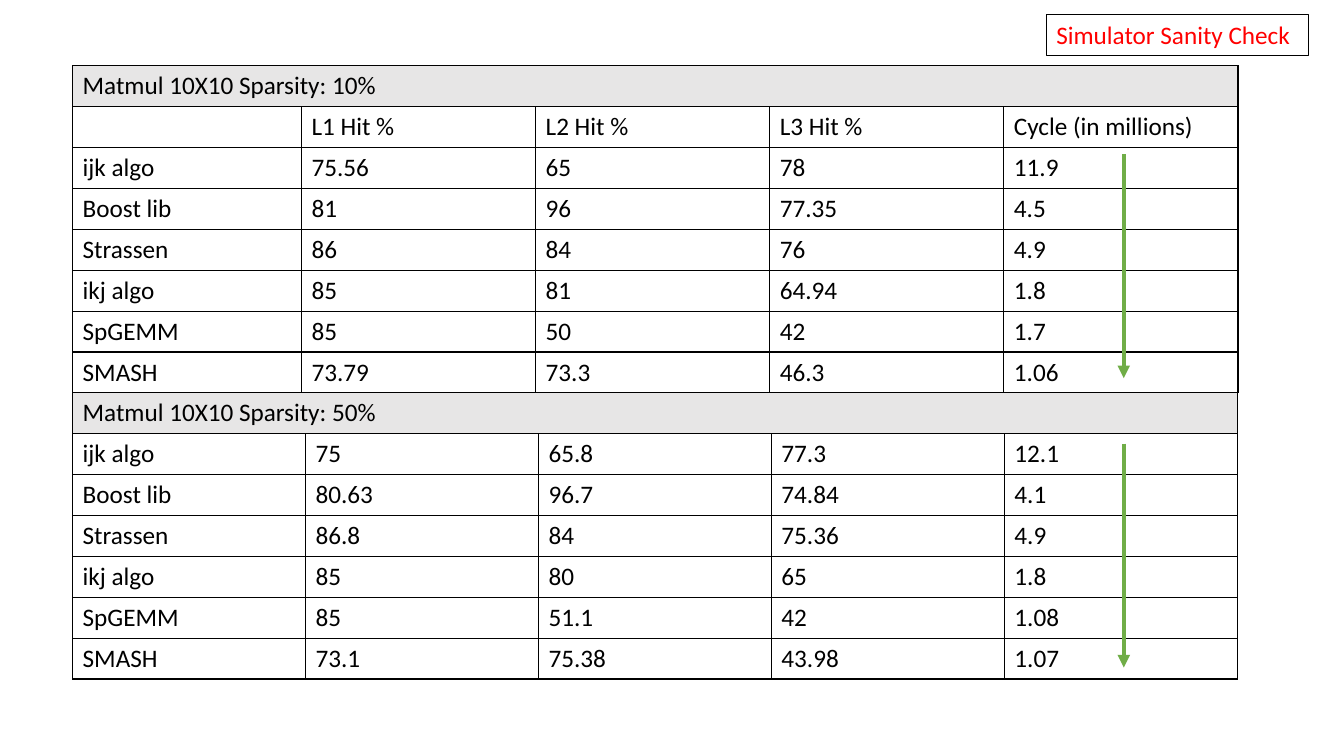
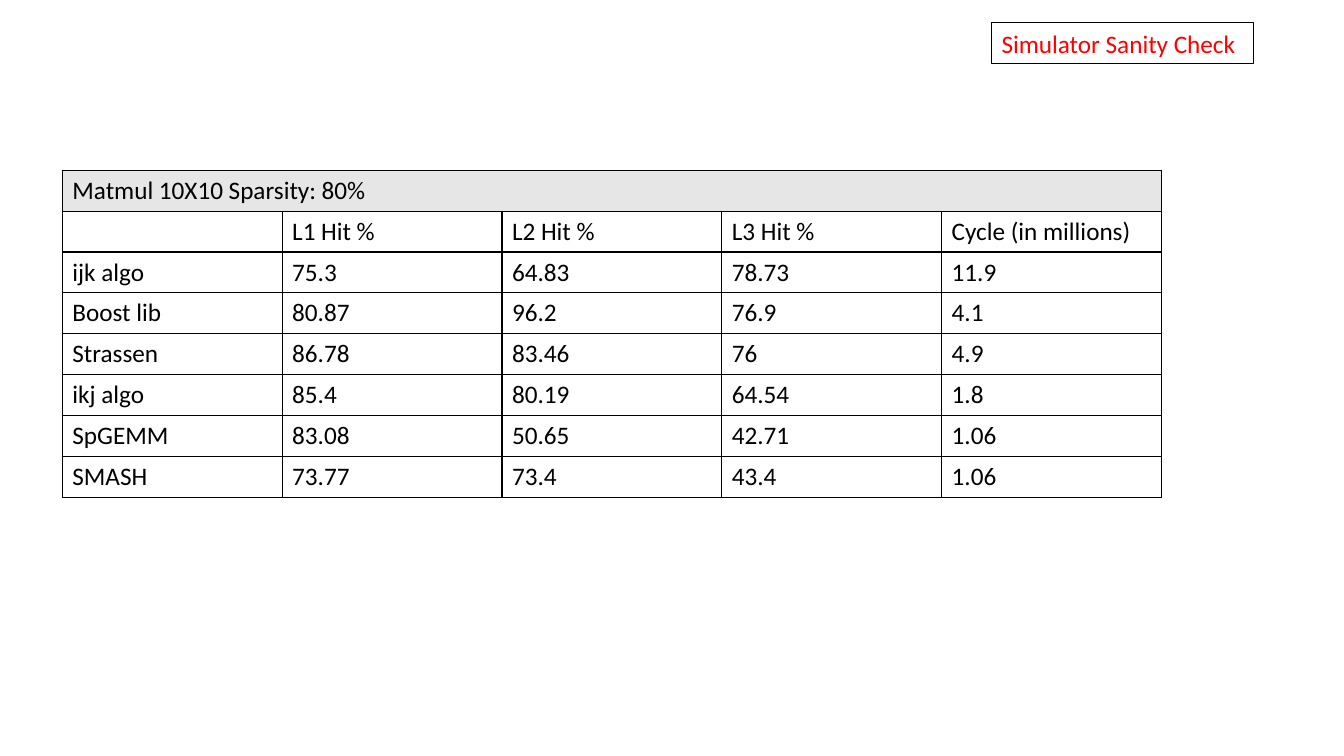
from lxml import etree
from pptx import Presentation, util as u
from pptx.dml.color import RGBColor
from pptx.enum import shapes, text
from pptx.oxml.ns import qn

BLACK, RED, GREEN, GREY = "000000", "FF0000", "70AD47", "E7E6E6"
FONT = {"name": "Calibri", "size": u.Pt(18), "bold": False}
FLAGS = {"first_row": False, "horz_banding": False}
FRAME = {"word_wrap": False, "auto_size": text.MSO_AUTO_SIZE.SHAPE_TO_FIT_TEXT}
ROW = 1.03
HEAD = ["", "L1 Hit %", "L2 Hit %", "L3 Hit %", "Cycle (in millions)"]
ALGOS = ["ijk algo", "Boost lib", "Strassen", "ikj algo", "SpGEMM", "SMASH"]


def tint(code):
    return RGBColor.from_string(code)


def apply(item, style):
    for key, value in style.items():
        setattr(item, key, value)


def child(node, tag, **attrs):
    return etree.SubElement(node, qn(tag), **attrs)


class Deck:
    def __init__(self):
        self.show = Presentation()
        apply(self.show, {"slide_width": u.Cm(33.87), "slide_height": u.Cm(19.05)})
        self.slide = None

    def page(self):
        self.slide = self.show.slides.add_slide(self.show.slide_layouts[6])

    def put(self, frame, words, color):
        run = frame.paragraphs[0].add_run()
        run.text = words
        apply(run.font, FONT)
        run.font.color.rgb = tint(color)

    def label(self, words, left, top):
        box = self.slide.shapes.add_textbox(u.Cm(left), u.Cm(top), u.Cm(6.61), u.Cm(ROW))
        apply(box.text_frame, FRAME)
        box.line.color.rgb = tint(BLACK)
        box.line.width = u.Pt(0.75)
        self.put(box.text_frame, words, RED)

    def border(self, cell):
        props = cell._tc.get_or_add_tcPr()
        for side in "LRTB":
            line = child(props, f"a:ln{side}", w=str(u.Pt(1)))
            child(child(line, "a:solidFill"), "a:srgbClr", val=BLACK)

    def table(self, title, rows, left, top, widths):
        grid = [[title] + [""] * (len(widths) - 1)] + rows
        frame = self.slide.shapes.add_table(
            len(grid), len(widths), u.Cm(left), u.Cm(top),
            u.Cm(sum(widths)), u.Cm(ROW * len(grid)))
        table = frame.table
        apply(table, FLAGS)
        for col, width in zip(table.columns, widths):
            col.width = u.Cm(width)
        for y, row in enumerate(grid):
            table.rows[y].height = u.Cm(ROW)
            for x, words in enumerate(row):
                cell = table.cell(y, x)
                self.border(cell)
                if y == 0:
                    cell.fill.solid()
                    cell.fill.fore_color.rgb = tint(GREY)
                else:
                    cell.fill.background()
                if words:
                    self.put(cell.text_frame, words, BLACK)
        table.cell(0, 0).merge(table.cell(0, len(widths) - 1))

    def arrow(self, left, top, length):
        line = self.slide.shapes.add_connector(
            shapes.MSO_CONNECTOR.STRAIGHT,
            u.Cm(left), u.Cm(top), u.Cm(left), u.Cm(top + length))
        line.line.color.rgb = tint(GREEN)
        line.line.width = u.Pt(3)
        child(line.line._get_or_add_ln(), "a:tailEnd", type="triangle")
        child(line._element.spPr, "a:effectLst")


def rows(*scores):
    return [[algo] + line.split() for algo, line in zip(ALGOS, scores)]


def main():
    deck = Deck()
    title = "Matmul 10X10 Sparsity: "
    check = "Simulator Sanity Check"

    deck.page()
    ten = rows("75.56 65 78 11.9", "81 96 77.35 4.5", "86 84 76 4.9",
               "85 81 64.94 1.8", "85 50 42 1.7", "73.79 73.3 46.3 1.06")
    half = rows("75 65.8 77.3 12.1", "80.63 96.7 74.84 4.1", "86.8 84 75.36 4.9",
                "85 80 65 1.8", "85 51.1 42 1.08", "73.1 75.38 43.98 1.07")
    deck.table(title + "10%", [HEAD] + ten, 1.83, 1.66, [5.77] + [5.9] * 4)
    deck.table(title + "50%", half, 1.83, 9.9, [5.87] * 5)
    deck.label(check, 26.37, 0.36)
    for top in (3.89, 11.18):
        deck.arrow(28.32, top, 5.64)

    deck.page()
    most = rows("75.3 64.83 78.73 11.9", "80.87 96.2 76.9 4.1", "86.78 83.46 76 4.9",
                "85.4 80.19 64.54 1.8", "83.08 50.65 42.71 1.06", "73.77 73.4 43.4 1.06")
    deck.table(title + "80%", [HEAD] + most, 1.57, 4.29, [5.54] * 5)
    deck.label(check, 24.99, 0.58)

    deck.show.save("out.pptx")


if __name__ == "__main__":
    main()
